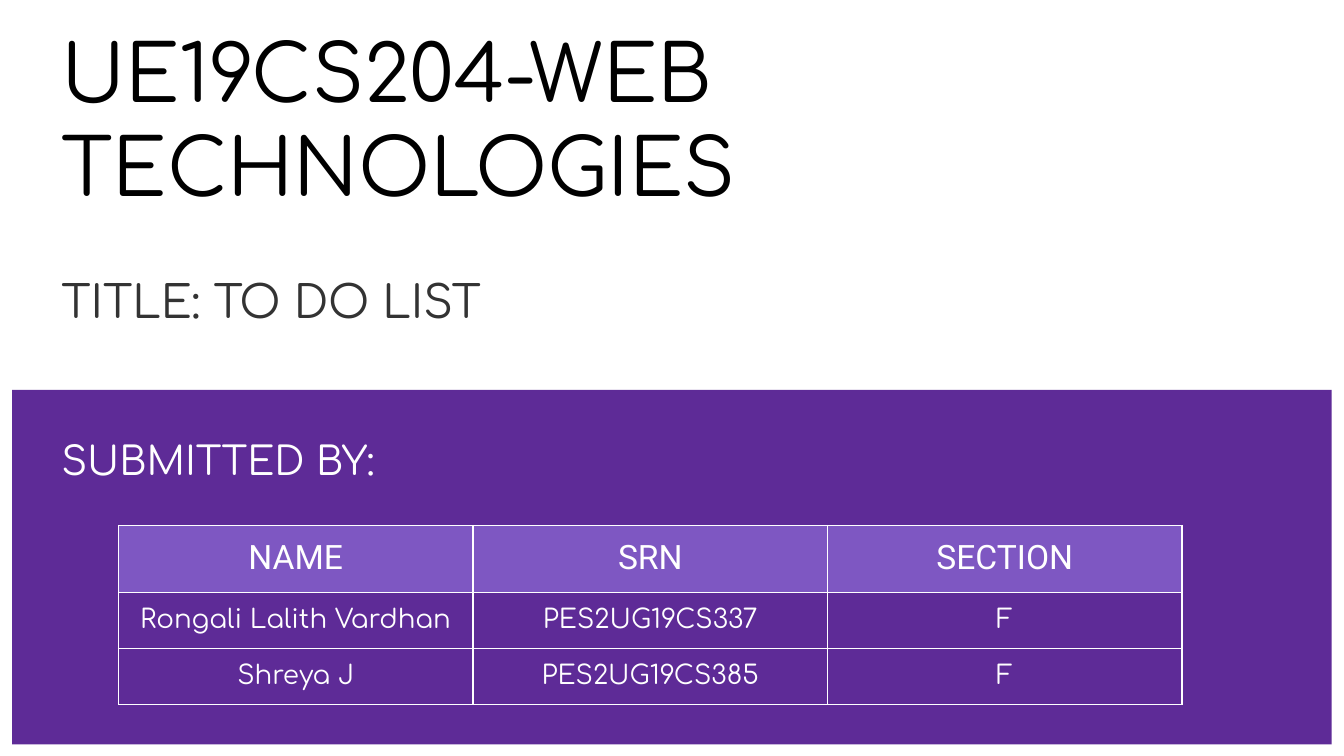
from dataclasses import dataclass

import pptx
import pptx.dml.color
import pptx.enum.shapes
import pptx.enum.text
import pptx.oxml
import pptx.oxml.ns
import pptx.util
from pptx.util import Cm

WHITE, PURPLE, VIOLET = "FFFFFF", "5E2B97", "7E57C2"
INSET = Cm(0.25)


@dataclass
class Label:
    text: str
    left: float
    top: float
    width: float
    height: float
    size: float
    color: str


TITLE = Label("UE19CS204-WEB TECHNOLOGIES", 0.91, 0.41, 20.62, 3.86, 42, "000000")
LABELS = [
    Label("TITLE: TO DO LIST", 0.91, 4.93, 22.73, 2.39, 24, "333333"),
    Label("SUBMITTED BY:", 0.91, 8, 7.75, 0.81, 21, WHITE),
]
ROWS = [
    ("NAME", "SRN", "SECTION"),
    ("Rongali Lalith Vardhan", "PES2UG19CS337", "F"),
    ("Shreya J", "PES2UG19CS385", "F"),
]
ROW_HEIGHTS = [1.27, 1.06, 1.06]
COL_WIDTH = 6.7


def rgb(color: str) -> pptx.dml.color.RGBColor:
    return pptx.dml.color.RGBColor.from_string(color)


def format_text(tf, size: float, color: str, font: str = "Comfortaa",
                align=pptx.enum.text.PP_ALIGN.LEFT) -> None:
    for p in tf.paragraphs:
        p.alignment = align
        for r in p.runs:
            r.font.size = pptx.util.Pt(size)
            r.font.name = font
            r.font.bold = False
            r.font.color.rgb = rgb(color)


def fill_label(sp, label: Label, anchor) -> None:
    sp.left, sp.top = Cm(label.left), Cm(label.top)
    sp.width, sp.height = Cm(label.width), Cm(label.height)
    tf = sp.text_frame
    tf.text = label.text
    tf.word_wrap = True
    tf.auto_size = pptx.enum.text.MSO_AUTO_SIZE.NONE
    tf.vertical_anchor = anchor
    tf.margin_left = tf.margin_right = tf.margin_top = tf.margin_bottom = INSET
    format_text(tf, label.size, label.color)


def set_borders(cell, color: str, width: float) -> None:
    tc_pr = cell._tc.get_or_add_tcPr()
    for i, side in enumerate(("lnL", "lnR", "lnT", "lnB")):
        tc_pr.insert(i, pptx.oxml.parse_xml(
            f'<a:{side} {pptx.oxml.ns.nsdecls("a")} w="{pptx.util.Pt(width)}">'
            f'<a:solidFill><a:srgbClr val="{color}"/></a:solidFill></a:{side}>'))


def add_members(s, left: float, top: float) -> None:
    table = s.shapes.add_table(
        len(ROWS), len(ROWS[0]), Cm(left), Cm(top),
        Cm(COL_WIDTH * len(ROWS[0])), Cm(sum(ROW_HEIGHTS))).table
    table.first_row = table.horz_banding = False
    for col in table.columns:
        col.width = Cm(COL_WIDTH)
    for i, (row, height) in enumerate(zip(ROWS, ROW_HEIGHTS)):
        table.rows[i].height = Cm(height)
        for j, text in enumerate(row):
            cell = table.cell(i, j)
            cell.text_frame.text = text
            cell.margin_left = cell.margin_right = INSET
            cell.margin_top = cell.margin_bottom = INSET
            if i == 0:
                cell.fill.solid()
                cell.fill.fore_color.rgb = rgb(VIOLET)
            else:
                cell.fill.background()
            size, font = (18, "Roboto") if i == 0 else (14, "Comfortaa")
            format_text(cell.text_frame, size, WHITE, font,
                        pptx.enum.text.PP_ALIGN.CENTER)
            set_borders(cell, WHITE, 0.75)


def main() -> None:
    prs = pptx.Presentation()
    prs.slide_width, prs.slide_height = Cm(25.4), Cm(14.29)
    s = prs.slides.add_slide(prs.slide_layouts[5])

    # Purple band behind the lower half
    band = s.shapes.add_shape(pptx.enum.shapes.MSO_SHAPE.RECTANGLE,
                              Cm(0.23), Cm(7.37), Cm(24.94), Cm(6.7))
    band.shadow.inherit = False
    band.fill.solid()
    band.fill.fore_color.rgb = rgb(PURPLE)
    band.line.fill.background()

    # Title and labels
    fill_label(s.shapes.title, TITLE, pptx.enum.text.MSO_ANCHOR.BOTTOM)
    for label in LABELS:
        sp = s.shapes.add_textbox(0, 0, 0, 0)
        fill_label(sp, label, pptx.enum.text.MSO_ANCHOR.TOP)

    # Members table
    add_members(s, 2.24, 9.93)

    prs.save("out.pptx")


if __name__ == "__main__":
    main()
